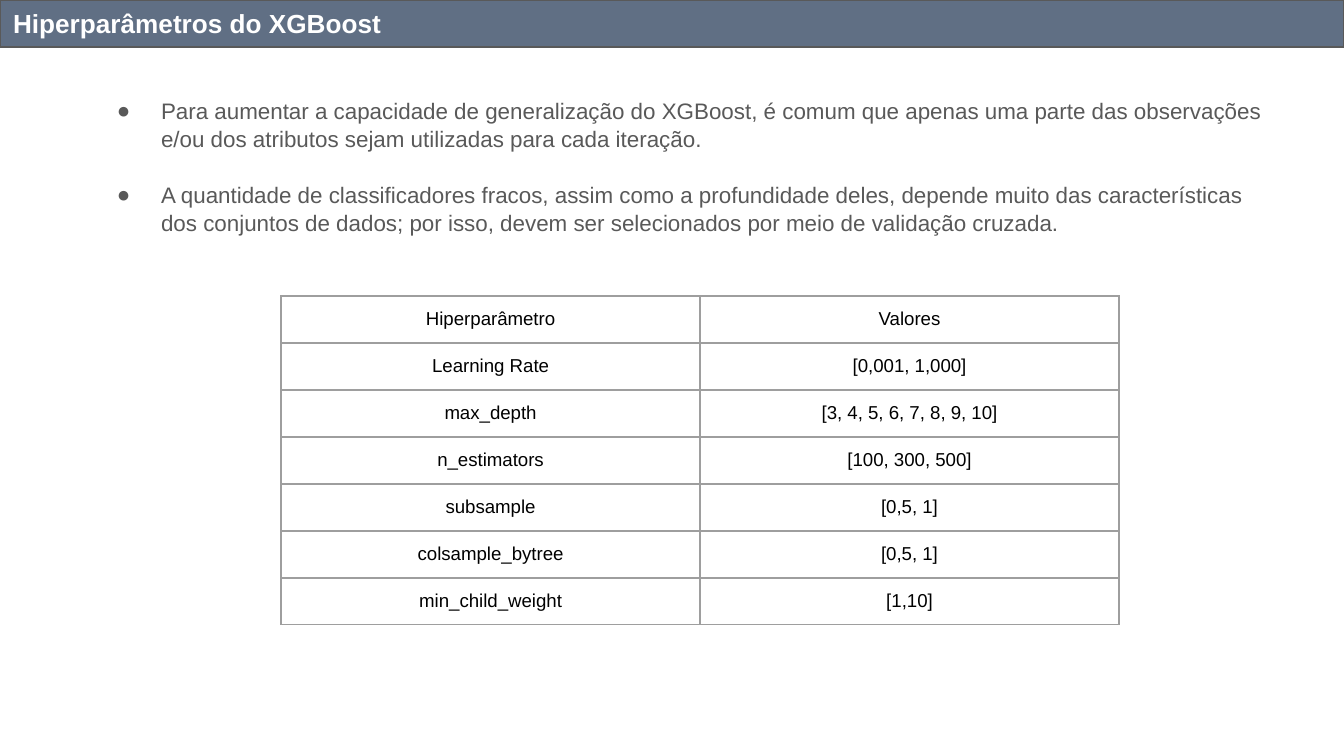
import pptx
import pptx.util
import pptx.dml.color
import pptx.enum.text
import pptx.oxml
import pptx.oxml.ns
import lxml.etree

TITLE = "Hiperparâmetros do XGBoost"
BULLETS = [
    "Para aumentar a capacidade de generalização do XGBoost, é comum que apenas uma parte "
    "das observações e/ou dos atributos sejam utilizadas para cada iteração.",
    "A quantidade de classificadores fracos, assim como a profundidade deles, depende muito "
    "das características dos conjuntos de dados; por isso, devem ser selecionados por meio "
    "de validação cruzada.",
]
ROWS = [
    ("Hiperparâmetro", "Valores"),
    ("Learning Rate", "[0,001, 1,000]"),
    ("max_depth", "[3, 4, 5, 6, 7, 8, 9, 10]"),
    ("n_estimators", "[100, 300, 500]"),
    ("subsample", "[0,5, 1]"),
    ("colsample_bytree", "[0,5, 1]"),
    ("min_child_weight", "[1,10]"),
]

SCALE = 914400 / 134.4
MARGIN = 13
COLUMN_WIDTH, ROW_HEIGHT = 419, 47
ALIGN = pptx.enum.text.PP_ALIGN
ANCHOR = pptx.enum.text.MSO_ANCHOR
TITLE_FONT = {"name": "Arial", "size": pptx.util.Pt(14), "bold": True}
BODY_FONT = {"name": "Arial", "size": pptx.util.Pt(12)}
CELL_FONT = {"name": "Arial", "size": pptx.util.Pt(10)}


def px(length):
    return pptx.util.Emu(round(length * SCALE))


def color(value):
    return pptx.dml.color.RGBColor.from_string(value)


def assign(target, values):
    for name, value in values.items():
        setattr(target, name, value)


def place(shape, left, top, width, height):
    assign(shape, {"left": px(left), "top": px(top), "width": px(width), "height": px(height)})


def set_margins(target):
    assign(target, {"margin_" + side: px(MARGIN) for side in ("left", "top", "right", "bottom")})


def write(para, text, font, text_color, **layout):
    span = para.add_run()
    span.text = text
    assign(span.font, font)
    span.font.color.rgb = color(text_color)
    assign(para, layout)


def prepare(box, anchor):
    frame = box.text_frame
    set_margins(frame)
    assign(frame, {"word_wrap": True, "vertical_anchor": anchor,
                   "auto_size": pptx.enum.text.MSO_AUTO_SIZE.NONE})
    return frame


def add_bullet(para, bullet_color):
    properties = para._p.get_or_add_pPr()
    properties.set("marL", str(px(67)))
    properties.set("indent", str(-px(44)))
    tag = pptx.oxml.ns.qn
    holder = lxml.etree.SubElement(properties, tag("a:buClr"))
    lxml.etree.SubElement(holder, tag("a:srgbClr"), val=bullet_color)
    lxml.etree.SubElement(properties, tag("a:buFont"), typeface="Arial")
    lxml.etree.SubElement(properties, tag("a:buChar"), char="●")


def add_borders(cell, border_color):
    properties = cell._tc.get_or_add_tcPr()
    for side in ("L", "R", "T", "B"):
        properties.append(pptx.oxml.parse_xml(
            f'<a:ln{side} {pptx.oxml.ns.nsdecls("a")} w="{pptx.util.Pt(0.75)}"><a:solidFill>'
            f'<a:srgbClr val="{border_color}"/></a:solidFill></a:ln{side}>'))


def build_title(slide):
    title = slide.shapes.title
    place(title, 0, 0, 1344, 47)
    title.fill.solid()
    title.fill.fore_color.rgb = color("606F84")
    title.line.color.rgb = color("595959")
    title.line.width = pptx.util.Pt(0.75)
    frame = prepare(title, ANCHOR.MIDDLE)
    write(frame.paragraphs[0], TITLE, TITLE_FONT, "FFFFFF", alignment=ALIGN.LEFT)


def build_bullets(slide):
    body = slide.placeholders[1]
    place(body, 81, 83, 1215, 169)
    frame = prepare(body, ANCHOR.TOP)
    for index, text in enumerate(BULLETS):
        para = frame.add_paragraph() if index else frame.paragraphs[0]
        write(para, text, BODY_FONT, "595959", alignment=ALIGN.LEFT, line_spacing=1.05,
              space_before=pptx.util.Pt(14.5 if index else 0))
        add_bullet(para, "595959")


def build_table(slide):
    columns = len(ROWS[0])
    table = slide.shapes.add_table(
        len(ROWS), columns, px(281), px(296),
        px(COLUMN_WIDTH * columns), px(ROW_HEIGHT * len(ROWS))).table
    assign(table, {"first_row": False, "horz_banding": False})
    for row, values in enumerate(ROWS):
        for column, text in enumerate(values):
            cell = table.cell(row, column)
            set_margins(cell)
            add_borders(cell, "9E9E9E")
            cell.fill.background()
            write(cell.text_frame.paragraphs[0], text, CELL_FONT, "000000",
                  alignment=ALIGN.CENTER)


def main():
    deck = pptx.Presentation()
    assign(deck, {"slide_width": px(1344), "slide_height": px(756)})
    page = deck.slides.add_slide(deck.slide_layouts[1])
    build_title(page)
    build_bullets(page)
    build_table(page)
    deck.save("out.pptx")


if __name__ == "__main__":
    main()
